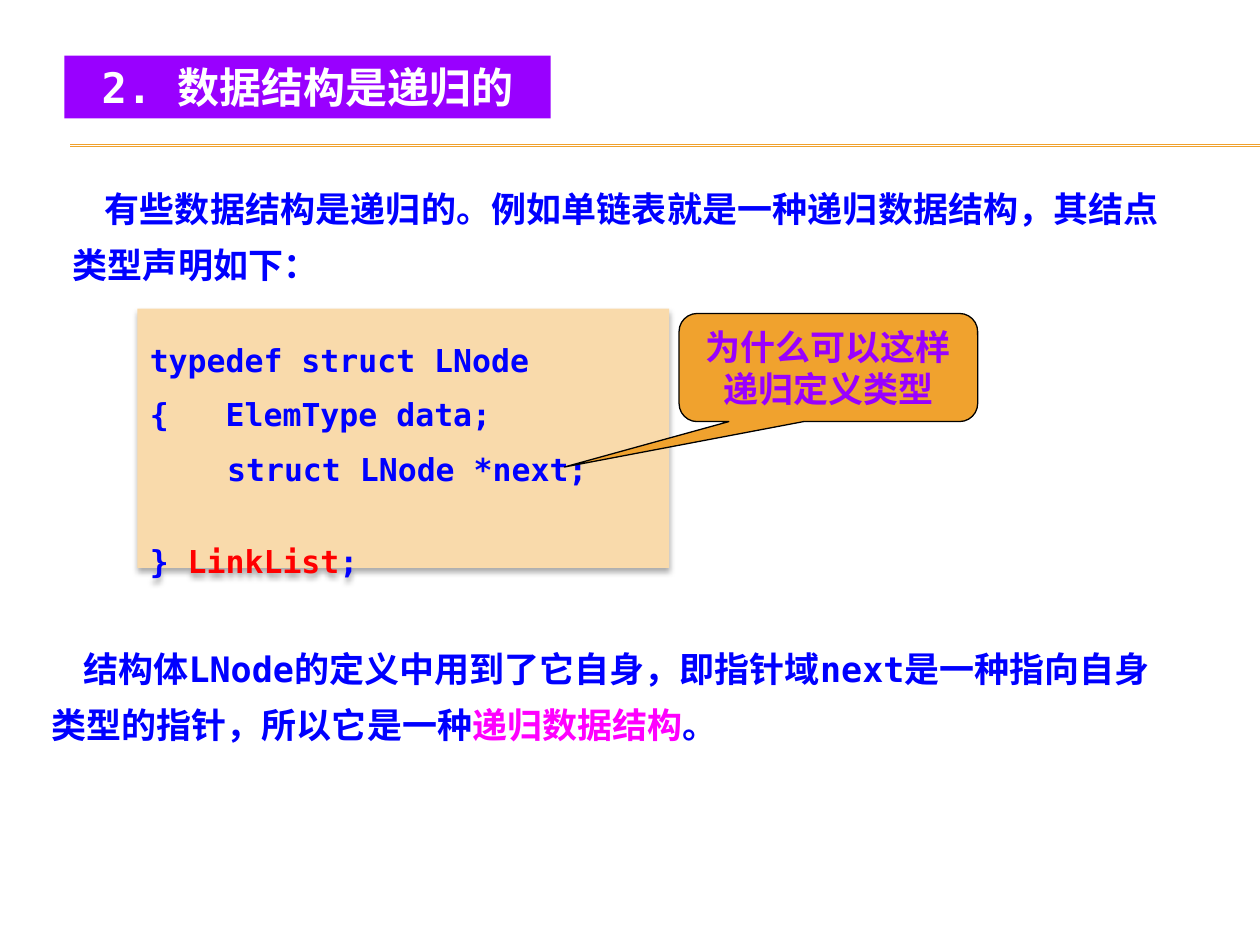
from lxml import etree
from pptx import Presentation
from pptx.dml.color import RGBColor
from pptx.enum.shapes import MSO_CONNECTOR, MSO_SHAPE
from pptx.enum.text import MSO_ANCHOR, PP_ALIGN
from pptx.oxml import parse_xml
from pptx.oxml.ns import nsdecls, qn
from pptx.util import Cm, Pt

RECT, CALLOUT = MSO_SHAPE.RECTANGLE, MSO_SHAPE.ROUNDED_RECTANGULAR_CALLOUT
STRAIGHT = MSO_CONNECTOR.STRAIGHT
TOP, MIDDLE = MSO_ANCHOR.TOP, MSO_ANCHOR.MIDDLE
LEFT, CENTER, JUSTIFY = PP_ALIGN.LEFT, PP_ALIGN.CENTER, PP_ALIGN.JUSTIFY
ORANGE = RGBColor(0xF0, 0xA2, 0x2E)
PEACH = RGBColor(0xF9, 0xDA, 0xAB)
PURPLE = RGBColor(0x99, 0x00, 0xFF)
BLUE = RGBColor(0x00, 0x00, 0xFF)
RED = RGBColor(0xFF, 0x00, 0x00)
MAGENTA = RGBColor(0xFF, 0x00, 0xFF)
WHITE = RGBColor(0xFF, 0xFF, 0xFF)
BLACK = RGBColor(0x00, 0x00, 0x00)
MONO, SERIF = "DejaVu Sans Mono", "Times New Roman"

prs = Presentation()
prs.slide_width, prs.slide_height = Cm(25.4), Cm(19.05)
s = prs.slides.add_slide(prs.slide_layouts[6])


def add_block(kind, box, fill, anchor):
    """Add a flat, borderless shape with wrapping text."""
    sp = s.shapes.add_shape(kind, *[Cm(v) for v in box])
    sp.shadow.inherit = False
    sp.fill.solid()
    sp.fill.fore_color.rgb = fill
    sp.line.fill.background()
    sp.text_frame.word_wrap = True
    sp.text_frame.vertical_anchor = anchor
    return sp


def fill_paragraph(p, runs, size, align, font=MONO, margin=0, indent=0):
    """Write bold (text, colour) runs with margin and first-line indent in cm."""
    p.alignment = align
    pPr = p._p.get_or_add_pPr()
    pPr.set("marL", str(Cm(margin)))
    pPr.set("indent", str(Cm(indent)))
    for text, color in runs:
        r = p.add_run()
        r.text = text
        r.font.name, r.font.size, r.font.bold = font, Pt(size), True
        r.font.color.rgb = color


# Rule under the title
for y in (2.92, 2.95):
    rule = s.shapes.add_connector(STRAIGHT, Cm(1.42), Cm(y), Cm(25.4), Cm(y))
    rule.line.color.rgb = ORANGE
    rule.line.width = Pt(0.75)
    etree.SubElement(rule._element.spPr, qn("a:effectLst"))

# Code panel
code = add_block(RECT, (2.77, 6.22, 10.72, 5.23), PEACH, TOP)
code._element.spPr.find(qn("a:effectLst")).append(parse_xml(
    f'<a:outerShdw {nsdecls("a")} blurRad="{Pt(3.5)}" dist="{Pt(2.2)}" '
    'dir="5400000" algn="t" rotWithShape="0"><a:srgbClr val="000000">'
    '<a:alpha val="32000"/></a:srgbClr></a:outerShdw>'))
tf = code.text_frame
tf.margin_top, tf.margin_bottom = Cm(0.65), Cm(0.4)
code_lines = [  # runs, space before, margin, first-line indent
    ([("typedef struct LNode", BLUE)], 0, 0, 0),
    ([("{\tElemType data;", BLUE)], 9.6, 1.53, -1.53),
    ([("struct LNode *next;", BLUE)], 9.6, 1.56, 0),
    ([("} ", BLUE), ("LinkList", RED), (";", BLUE)], 31, 0, 0),
]
for i, (runs, before, margin, indent) in enumerate(code_lines):
    p = tf.add_paragraph() if i else tf.paragraphs[0]
    p.space_before = Pt(before)
    fill_paragraph(p, runs, 18, LEFT, margin=margin, indent=indent)

# Callout pointing at the recursive member
callout = add_block(CALLOUT, (13.69, 6.32, 6.02, 2.18), ORANGE, MIDDLE)
for i, value in enumerate((-0.884, 0.92, 0.167)):
    callout.adjustments[i] = value
callout.line.color.rgb = BLACK
callout.line.width = Pt(0.75)
fill_paragraph(callout.text_frame.paragraphs[0],
               [("为什么可以这样递归定义类型", PURPLE)], 20, CENTER, SERIF)

# Title
title = add_block(RECT, (1.3, 1.12, 9.8, 1.27), PURPLE, MIDDLE)
fill_paragraph(title.text_frame.paragraphs[0],
               [("2. 数据结构是递归的", WHITE)], 24, CENTER)

# Body text above and below the code
body_texts = [
    ((1.22, 3.38, 22.4, 2.41), JUSTIFY,
     [("有些数据结构是递归的。例如单链表就是一种递归数据结构,其结点类型声明如下:"
       .replace(",", "\uff0c").replace(":", "\uff1a"), BLUE)]),
    ((0.79, 12.65, 23.01, 2.41), LEFT,
     [("结构体LNode的定义中用到了它自身,即指针域next是一种指向自身类型的指针,所以它是一种"
       .replace(",", "\uff0c"), BLUE),
      ("递归数据结构", MAGENTA), ("。", BLUE)]),
]
for box, align, runs in body_texts:
    tf = s.shapes.add_textbox(*[Cm(v) for v in box]).text_frame
    tf.word_wrap = True
    p = tf.paragraphs[0]
    p.line_spacing = Pt(32)
    fill_paragraph(p, runs, 20, align, indent=0.64)

prs.save("out.pptx")
